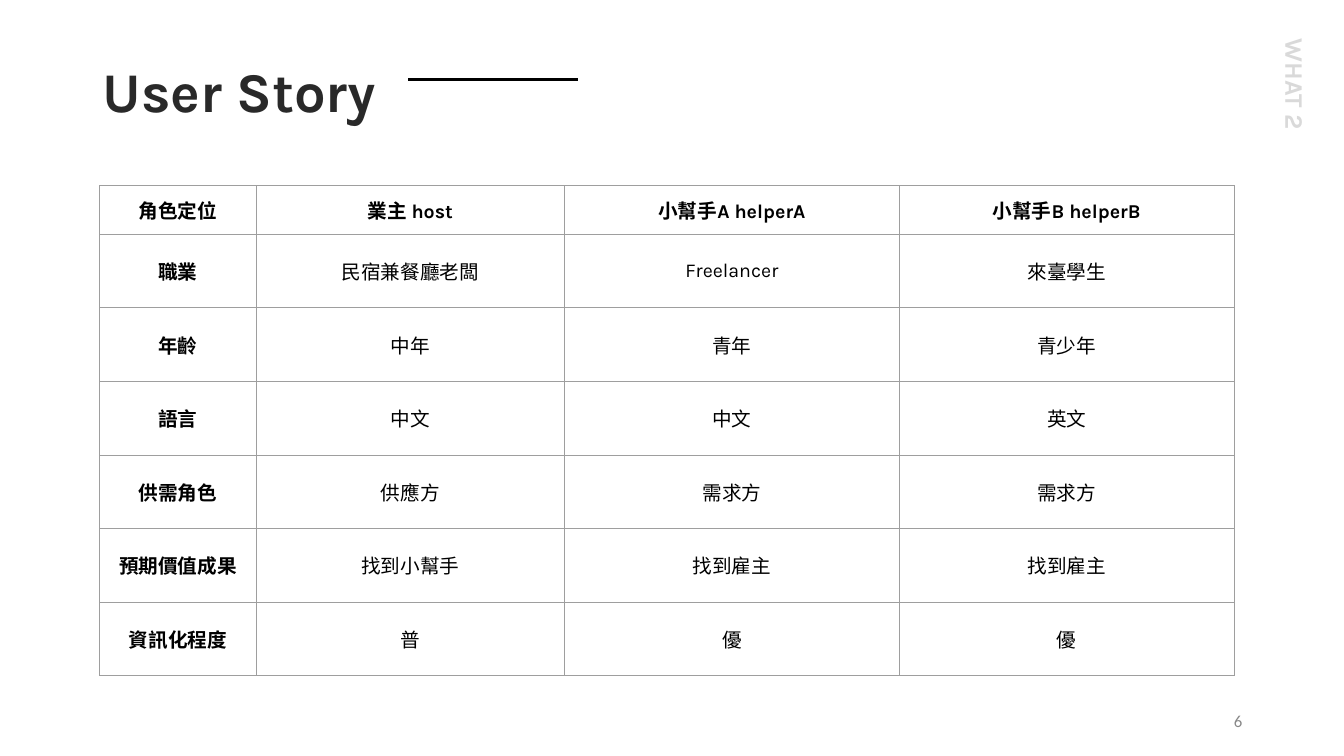
from lxml import etree
from pptx import Presentation
from pptx import util as u
from pptx.dml.color import RGBColor
from pptx.enum import shapes, text
from pptx.oxml.ns import qn

PX = 9144


def px(length):
    return u.Emu(length * PX)


def colour(value):
    return RGBColor.from_string(value)


class StorySlide:
    font = "Karla"
    ink = "000000"
    grid = "9E9E9E"

    def __init__(self, deck):
        self.slide = deck.slides.add_slide(deck.slide_layouts[6])

    def fill_text(self, frame, words, size, tint, bold=False, align=None, font=None):
        frame.text = words
        paragraph = frame.paragraphs[0]
        paragraph.alignment = align
        for run in paragraph.runs:
            run.font.name = font or self.font
            run.font.size = u.Pt(size)
            run.font.bold = bold
            run.font.color.rgb = colour(tint)
        return paragraph

    def label(self, box, words, size, tint, spacing=1.0, turn=0, **style):
        holder = self.slide.shapes.add_textbox(*map(px, box))
        holder.rotation = turn
        frame = holder.text_frame
        frame.word_wrap = True
        frame.vertical_anchor = text.MSO_ANCHOR.MIDDLE
        self.fill_text(frame, words, size, tint, **style).line_spacing = spacing

    def rule(self, left, right, y, weight):
        line = self.slide.shapes.add_connector(
            shapes.MSO_CONNECTOR.STRAIGHT, px(left), px(y), px(right), px(y))
        line.line.color.rgb = colour(self.ink)
        line.line.width = u.Pt(weight)
        etree.SubElement(line._element.spPr, qn("a:effectLst"))

    def border(self, cell):
        properties = cell._tc.get_or_add_tcPr()
        for position, side in enumerate(("lnL", "lnR", "lnT", "lnB")):
            edge = etree.Element(qn(f"a:{side}"), w=str(u.Pt(0.75)))
            fill = etree.SubElement(edge, qn("a:solidFill"))
            etree.SubElement(fill, qn("a:srgbClr"), val=self.grid)
            properties.insert(position, edge)

    def table(self, left, top, widths, heights, rows):
        frame = self.slide.shapes.add_table(
            len(heights), len(widths), px(left), px(top),
            px(sum(widths)), px(sum(heights)))
        grid = frame.table
        for column, width in zip(grid.columns, widths):
            column.width = px(width)
        for row, height in zip(grid.rows, heights):
            row.height = px(height)
        for r, entries in enumerate(rows):
            for c, words in enumerate(entries):
                cell = grid.cell(r, c)
                cell.fill.background()
                cell.vertical_anchor = text.MSO_ANCHOR.MIDDLE
                cell.margin_left = cell.margin_right = px(10)
                cell.margin_top = cell.margin_bottom = px(10)
                self.fill_text(cell.text_frame, words, 14, self.ink,
                               bold=r == 0 or c == 0, align=text.PP_ALIGN.CENTER)
                self.border(cell)


def main():
    deck = Presentation()
    deck.slide_width, deck.slide_height = px(1333), px(750)
    story = StorySlide(deck)

    roles = [
        ("角色定位", "業主 host", "小幫手A helperA", "小幫手B helperB"),
        ("職業", "民宿兼餐廳老闆", "Freelancer", "來臺學生"),
        ("年齡", "中年", "青年", "青少年"),
        ("語言", "中文", "中文", "英文"),
        ("供需角色", "供應方", "需求方", "需求方"),
        ("預期價值成果", "找到小幫手", "找到雇主", "找到雇主"),
        ("資訊化程度", "普", "優", "優"),
    ]
    story.table(99, 184, [155, 306, 332, 332], [44] + [73] * 6, roles)
    story.label((942, 695, 300, 40), "6", 12, "888888",
                align=text.PP_ALIGN.RIGHT, font="Calibri")
    story.label((1221, 68, 124, 45), "WHAT 2", 18, "D9D9D9",
                spacing=0.9, turn=90, bold=True)
    story.rule(405, 573, 79, 2.25)
    story.label((92, 40, 430, 79), "User Story", 40, "292929",
                spacing=1.3, bold=True)

    deck.save("out.pptx")


if __name__ == "__main__":
    main()
